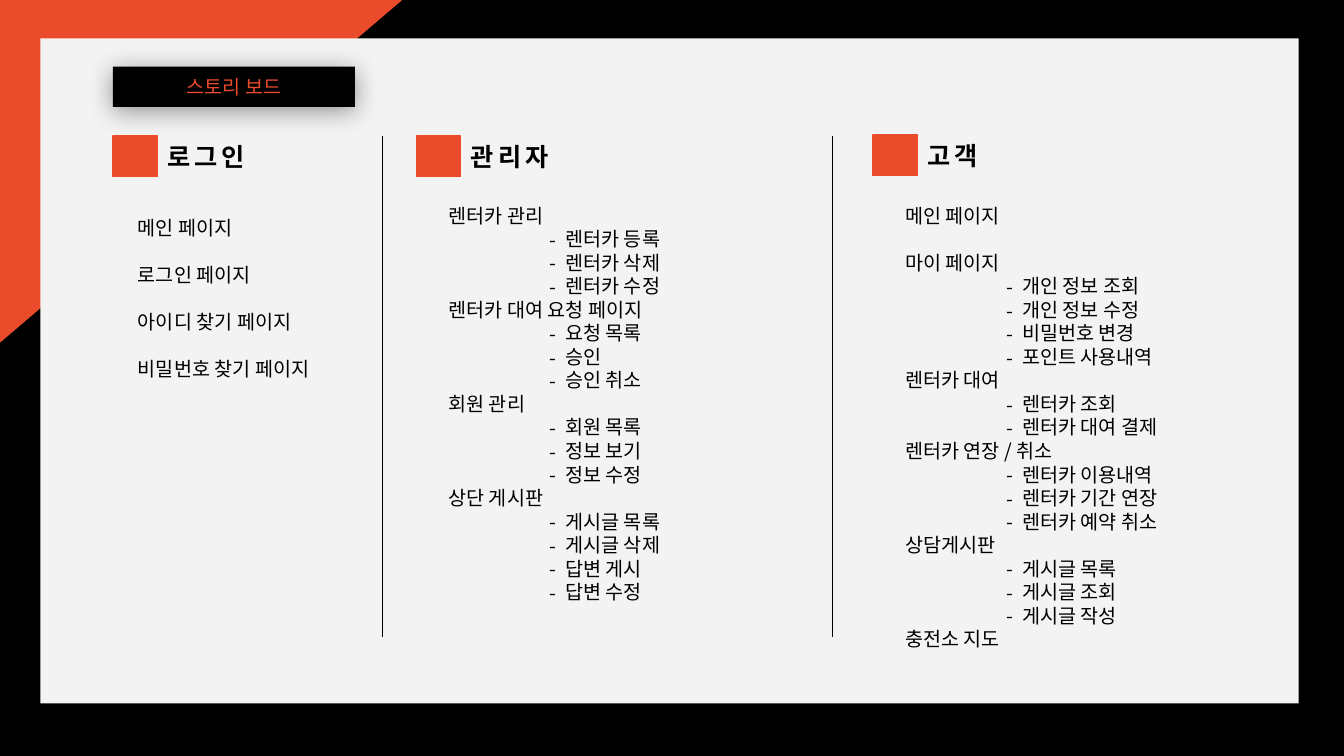
import pptx
import pptx.util
import pptx.dml.color
import pptx.enum.shapes
import pptx.enum.text
import pptx.oxml.ns
import lxml.etree

Inches = pptx.util.Inches
Pt = pptx.util.Pt
RGB = pptx.dml.color.RGBColor
SHAPE = pptx.enum.shapes.MSO_SHAPE
ANCHOR = pptx.enum.text.MSO_ANCHOR

BLACK = RGB(0x00, 0x00, 0x00)
RED = RGB(0xE9, 0x4B, 0x2B)
PALE = RGB(0xF3, 0xF3, 0xF3)
FONT = "Noto Sans CJK KR"
PITCH = Pt(16.8)

# Each column: square left, top, list left, list top, heading, groups
# Each group: name, sub-items, whether an empty line's gap comes before it
LOGIN = [
    ("메인 페이지", [], False),
    ("로그인 페이지", [], True),
    ("아이디 찾기 페이지", [], True),
    ("비밀번호 찾기 페이지", [], True),
]
ADMIN = [
    ("렌터카 관리", ["렌터카 등록", "렌터카 삭제", "렌터카 수정"], False),
    ("렌터카 대여 요청 페이지", ["요청 목록", "승인", "승인 취소"], False),
    ("회원 관리", ["회원 목록", "정보 보기", "정보 수정"], False),
    ("상단 게시판", ["게시글 목록", "게시글 삭제", "답변 게시", "답변 수정"], False),
]
CLIENT = [
    ("메인 페이지", [], False),
    ("마이 페이지", ["개인 정보 조회", "개인 정보 수정", "비밀번호 변경",
                "포인트 사용내역"], True),
    ("렌터카 대여", ["렌터카 조회", "렌터카 대여 결제"], False),
    ("렌터카 연장 / 취소", ["렌터카 이용내역", "렌터카 기간 연장",
                    "렌터카 예약 취소"], False),
    ("상담게시판", ["게시글 목록", "게시글 조회", "게시글 작성"], False),
    ("충전소 지도", [], False),
]
COLUMNS = [
    (1.12, 1.35, 1.27, 2.09, "로그인", LOGIN),
    (4.13, 1.35, 4.35, 1.97, "관리자", ADMIN),
    (8.66, 1.34, 8.88, 1.97, "고객", CLIENT),
]


def add_sub(parent, tag, **attrs):
    name = pptx.oxml.ns.qn(tag)
    return lxml.etree.SubElement(parent, name, **attrs)


def style(para, size, color, bold=False, space=None):
    for run in para.runs:
        font = run.font
        font.name = FONT
        font.size = Pt(size)
        font.bold = bold
        font.color.rgb = color
        props = run._r.get_or_add_rPr()
        add_sub(props, "a:ea", typeface=FONT)
        if space:
            props.set("spc", str(space * 100))


def add_block(slide, kind, left, top, width, height, color):
    block = slide.shapes.add_shape(kind, Inches(left), Inches(top),
                                   Inches(width), Inches(height))
    block.shadow.inherit = False
    block.fill.solid()
    block.fill.fore_color.rgb = color
    block.line.fill.background()
    return block


def add_box(slide, left, top, width, height):
    box = slide.shapes.add_textbox(Inches(left), Inches(top),
                                   Inches(width), Inches(height))
    box.text_frame.word_wrap = True
    return box.text_frame


def add_rule(slide, left):
    rule = slide.shapes.add_connector(
        pptx.enum.shapes.MSO_CONNECTOR.STRAIGHT,
        Inches(left), Inches(1.35), Inches(left), Inches(6.32))
    rule.line.color.rgb = BLACK
    rule.line.width = Pt(0.5)
    add_sub(rule._element.spPr, "a:effectLst")


def add_head(slide, left, top, text):
    mark = add_block(slide, SHAPE.RECTANGLE, left, top, 0.44, 0.4, RED)
    mark.line.color.rgb = RED
    mark.line.width = Pt(1)
    frame = add_box(slide, left + 0.44, top, 1.5, 0.4)
    frame.vertical_anchor = ANCHOR.MIDDLE
    frame.text = text
    style(frame.paragraphs[0], 18, BLACK, True, 3)


def set_dash(para):
    props = para._p.get_or_add_pPr()
    props.set("marL", str(Inches(1.16)))
    props.set("indent", str(Inches(-0.16)))
    add_sub(props, "a:buFont", typeface=FONT)
    add_sub(props, "a:buChar", char="-")


def add_list(slide, left, top, groups):
    lines = []
    for name, items, gap in groups:
        lines.append((name, False, gap))
        lines += [(item, True, False) for item in items]
    rows = len(lines) + sum(gap for _, _, gap in lines)
    frame = add_box(slide, left, top, 3, rows * PITCH.inches + 0.1)
    for i, (text, dash, gap) in enumerate(lines):
        para = frame.paragraphs[0] if i == 0 else frame.add_paragraph()
        para.text = text
        para.line_spacing = PITCH
        if gap:
            para.space_before = PITCH
        if dash:
            set_dash(para)
        style(para, 14, BLACK)


def set_title(slide, text):
    title = slide.shapes.title
    title.left, title.top = Inches(1.12), Inches(0.66)
    title.width, title.height = Inches(2.4), Inches(0.4)
    title.fill.solid()
    title.fill.fore_color.rgb = BLACK
    # Soft shadow below the title bar
    effects = add_sub(title._element.spPr, "a:effectLst")
    shade = add_sub(effects, "a:outerShdw", blurRad=str(Pt(18)),
                    dist=str(Pt(3)), dir="5400000", rotWithShape="0")
    color = add_sub(shade, "a:srgbClr", val=str(BLACK))
    add_sub(color, "a:alpha", val="40000")
    frame = title.text_frame
    frame.auto_size = pptx.enum.text.MSO_AUTO_SIZE.NONE
    frame.vertical_anchor = ANCHOR.MIDDLE
    frame.text = text
    frame.paragraphs[0].alignment = pptx.enum.text.PP_ALIGN.CENTER
    style(frame.paragraphs[0], 14, RED)
    # Bring the title in front of the panel
    slide.shapes._spTree.append(title._element)


def main():
    deck = pptx.Presentation()
    deck.slide_width, deck.slide_height = Inches(13.33), Inches(7.5)
    slide = deck.slides.add_slide(deck.slide_layouts[5])

    # Backdrop
    slide.background.fill.solid()
    slide.background.fill.fore_color.rgb = BLACK
    corner = add_block(slide, SHAPE.RIGHT_TRIANGLE, 0, 0, 3.99, 3.4, RED)
    corner._element.spPr.get_or_add_xfrm().set("flipV", "1")
    add_block(slide, SHAPE.RECTANGLE, 0.4, 0.38, 12.48, 6.6, PALE)
    set_title(slide, "스토리 보드")

    # Columns and the rules between them
    for left, top, inner, start, head, groups in COLUMNS:
        add_head(slide, left, top, head)
        add_list(slide, inner, start, groups)
    for left in (3.79, 8.26):
        add_rule(slide, left)

    deck.save("out.pptx")


if __name__ == "__main__":
    main()
